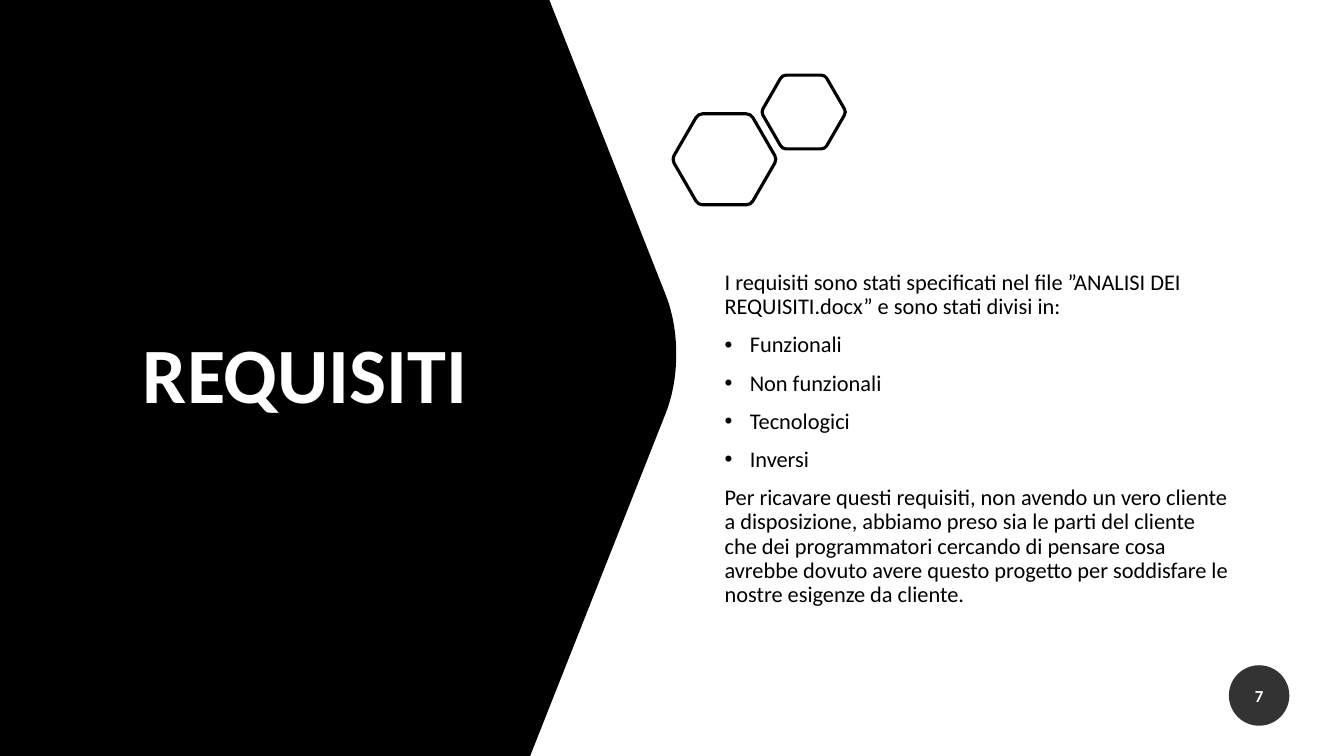
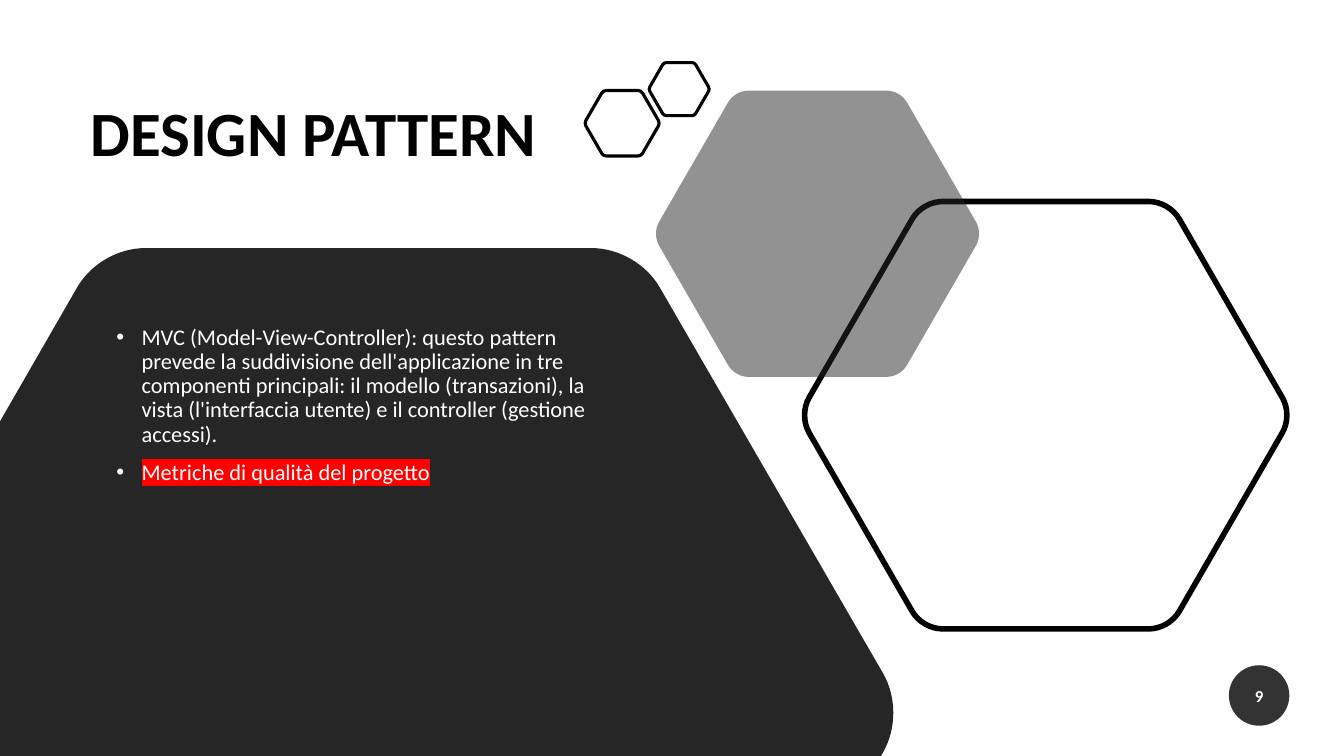
from math import cos, dist, pi, sin, sqrt

from lxml import etree
from pptx import Presentation
from pptx.dml.color import RGBColor
from pptx.enum.shapes import MSO_SHAPE
from pptx.enum.text import MSO_ANCHOR, PP_ALIGN
from pptx.oxml.ns import qn
from pptx.util import Pt

ELLIPSE = MSO_SHAPE.OVAL
TOP, MIDDLE = MSO_ANCHOR.TOP, MSO_ANCHOR.MIDDLE
LEFT, CENTER = PP_ALIGN.LEFT, PP_ALIGN.CENTER

FONT = "Calibri"
BLACK, WHITE, CHARCOAL, RED = "000000", "FFFFFF", "262626", "FF0000"
WIDTH, HEIGHT = 960, 540
CORNER_TENSION = 0.6
HEXAGON_CUT = 0.083
PANEL_CUT = 32.5
INDENT = 18


def rgb(value):
    return RGBColor.from_string(value)


def toward(start, end, fraction):
    return tuple(a + (b - a) * fraction for a, b in zip(start, end))


def rounded_corner(before, corner, after, cut):
    start = toward(corner, before, cut / dist(corner, before))
    end = toward(corner, after, cut / dist(corner, after))
    return [start, toward(start, corner, CORNER_TENSION),
            toward(end, corner, CORNER_TENSION), end]


def rounded_outline(corners):
    points, curve_starts = [], []
    for i, (x, y, cut) in enumerate(corners):
        if cut:
            before, after = corners[i - 1], corners[(i + 1) % len(corners)]
            curve_starts.append(len(points))
            points += rounded_corner(before[:2], (x, y), after[:2], cut)
        else:
            points.append((x, y))
    return points, curve_starts


def bend_corners(shape, curve_starts):
    outline = next(shape._element.iter(qn("a:path")))
    segments = list(outline)
    for start in curve_starts:
        first, second, last = segments[start + 1:start + 4]
        curve = etree.Element(qn("a:cubicBezTo"))
        first.addprevious(curve)
        for segment in (first, second, last):
            curve.append(segment[0])
            outline.remove(segment)


def paint(shape, fill=None, opacity=100, line_width=None):
    shape.shadow.inherit = False
    if fill:
        shape.fill.solid()
        shape.fill.fore_color.rgb = rgb(fill)
    else:
        shape.fill.background()
    if opacity < 100:
        color = shape._element.spPr.find(qn("a:solidFill"))[0]
        etree.SubElement(color, qn("a:alpha"), val=str(opacity * 1000))
    if line_width:
        shape.line.color.rgb = rgb(BLACK)
        shape.line.width = Pt(line_width)
    else:
        shape.line.fill.background()


def add_outline(shapes, corners, **style):
    points, curve_starts = rounded_outline(corners)
    points = [(Pt(x), Pt(y)) for x, y in points]
    builder = shapes.build_freeform(*points[0], scale=1.0)
    builder.add_line_segments(points[1:], close=True)
    outline = builder.convert_to_shape()
    bend_corners(outline, curve_starts)
    paint(outline, **style)


def add_hexagon(shapes, center_x, center_y, height, **style):
    side = height / sqrt(3)
    corners = [(center_x + side * cos(k * pi / 3),
                center_y + side * sin(k * pi / 3),
                side * HEXAGON_CUT) for k in range(6)]
    add_outline(shapes, corners, **style)


def add_hexagon_pair(slide, center_x, center_y, height):
    pair = slide.shapes.add_group_shape().shapes
    add_hexagon(pair, center_x, center_y, height, line_width=2.25)
    add_hexagon(pair, center_x + 0.87 * height, center_y - 0.52 * height,
                0.81 * height, line_width=2.25)


def set_font(paragraph, size, color, bold=False):
    font = paragraph.font
    font.name, font.size, font.bold = FONT, Pt(size), bold
    font.color.rgb = rgb(color)


def add_text_frame(slide, left, top, width, height, anchor):
    box = slide.shapes.add_textbox(Pt(left), Pt(top), Pt(width), Pt(height))
    frame = box.text_frame
    frame.word_wrap = True
    frame.vertical_anchor = anchor
    return frame


def add_title(slide, text, area, size, color, align=LEFT):
    title = add_text_frame(slide, *area, MIDDLE).paragraphs[0]
    title.text = text
    title.alignment = align
    title.line_spacing = 0.9
    set_font(title, size, color, bold=True)


def add_bullet(paragraph):
    properties = paragraph._p.get_or_add_pPr()
    properties.set("marL", str(Pt(INDENT)))
    properties.set("indent", str(-Pt(INDENT)))
    etree.SubElement(properties, qn("a:buFont"), typeface="Arial")
    etree.SubElement(properties, qn("a:buChar"), char="•")


def highlight(run, color):
    mark = etree.SubElement(run._r.get_or_add_rPr(), qn("a:highlight"))
    etree.SubElement(mark, qn("a:srgbClr"), val=color)


def add_body(slide, entries, area, color, anchor):
    frame = add_text_frame(slide, *area, anchor)
    for i, (text, bulleted) in enumerate(entries):
        paragraph = frame.add_paragraph() if i else frame.paragraphs[0]
        paragraph.text = text
        if bulleted:
            add_bullet(paragraph)
        paragraph.line_spacing = 0.9
        paragraph.space_before = Pt(10)
        set_font(paragraph, 16, color)
    return frame


def add_page_number(slide, number):
    badge = slide.shapes.add_shape(ELLIPSE, Pt(877.8), Pt(475.2), Pt(43.2), Pt(43.2))
    paint(badge, fill=BLACK, opacity=80)
    frame = badge.text_frame
    frame.margin_left = frame.margin_right = 0
    frame.vertical_anchor = MIDDLE
    label = frame.paragraphs[0]
    label.text = str(number)
    label.alignment = CENTER
    set_font(label, 12, WHITE, bold=True)


def build_requirements(slide):
    add_outline(slide.shapes, [
        (0, 0, 0), (392.4, 0, 0), (492.2, 253, 45.4),
        (378.7, HEIGHT, 0), (0, HEIGHT, 0)], fill=BLACK)
    add_title(slide, "REQUISITI", (54.7, 232.2, 326.9, 75.6), 56, WHITE, CENTER)
    add_hexagon_pair(slide, 517.5, 113.8, 65)
    add_body(slide, [
        ("I requisiti sono stati specificati nel file ”ANALISI DEI "
         "REQUISITI.docx” e sono stati divisi in:", False),
        ("Funzionali", True),
        ("Non funzionali", True),
        ("Tecnologici", True),
        ("Inversi", True),
        ("Per ricavare questi requisiti, non avendo un vero cliente a "
         "disposizione, abbiamo preso sia le parti del cliente che dei "
         "programmatori cercando di pensare cosa avrebbe dovuto avere questo "
         "progetto per soddisfare le nostre esigenze da cliente.", False),
    ], (510.5, 173.8, 375.8, 280), BLACK, MIDDLE)
    add_page_number(slide, 7)


def build_design_pattern(slide):
    add_title(slide, "DESIGN PATTERN", (57.6, 32.4, 422, 129.6), 45, BLACK)
    add_outline(slide.shapes, [
        (0, 301, 0), (71.3, 177.2, PANEL_CUT), (455, 177.2, PANEL_CUT),
        (647, 509, PANEL_CUT), (629.3, HEIGHT, 0), (0, HEIGHT, 0)], fill=CHARCOAL)
    add_hexagon(slide.shapes, 747, 296.6, 305.3, line_width=4)
    add_hexagon(slide.shapes, 584, 167, 204.5, fill=CHARCOAL, opacity=50)
    add_hexagon_pair(slide, 444.4, 88, 46.8)
    body = add_body(slide, [
        ("MVC (Model-View-Controller): questo pattern prevede la suddivisione "
         "dell'applicazione in tre componenti principali: il modello "
         "(transazioni), la vista (l'interfaccia utente) e il controller "
         "(gestione accessi).", True),
        ("Metriche di qualità del progetto", True),
    ], (76.1, 229.4, 373.7, 132.5), WHITE, TOP)
    highlight(body.paragraphs[-1].runs[0], RED)
    add_page_number(slide, 9)


def main():
    deck = Presentation()
    deck.slide_width, deck.slide_height = Pt(WIDTH), Pt(HEIGHT)
    for build in (build_requirements, build_design_pattern):
        build(deck.slides.add_slide(deck.slide_layouts[6]))
    deck.save("out.pptx")


if __name__ == "__main__":
    main()
